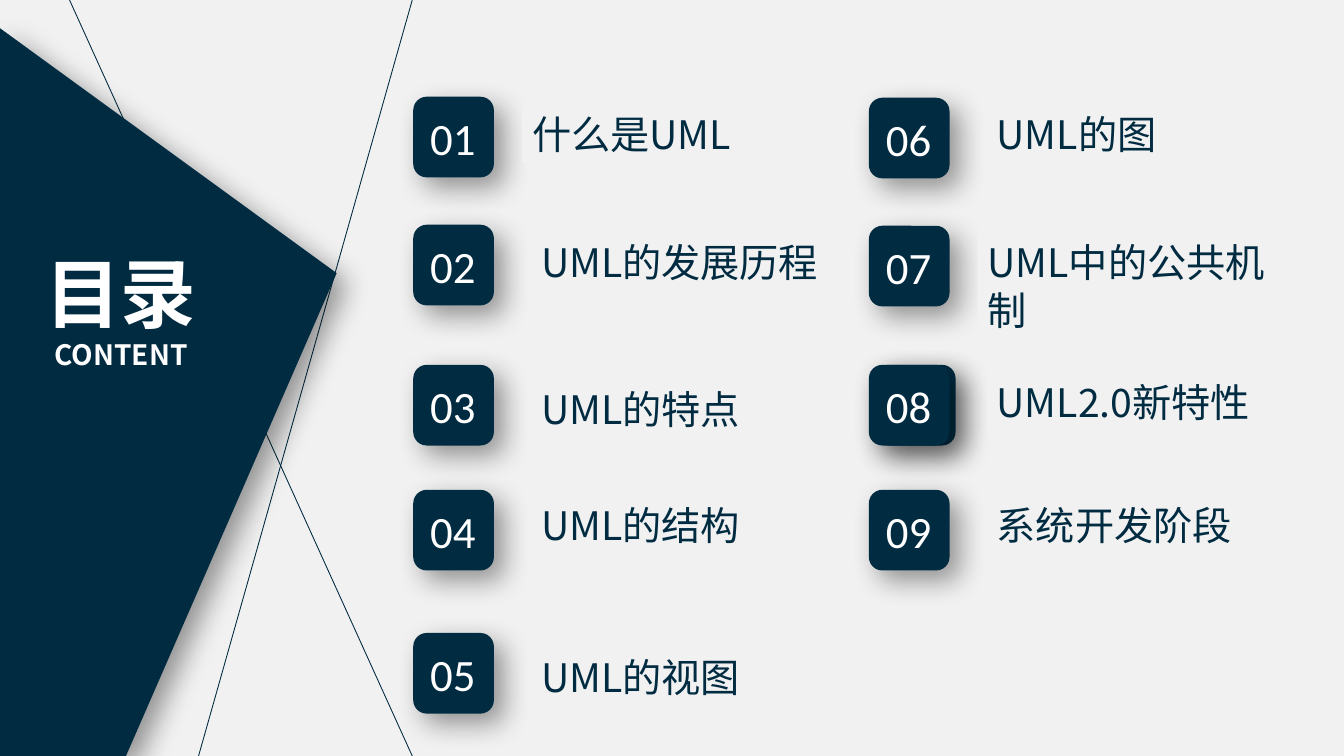
import pptx
import pptx.dml.color
import pptx.enum.shapes
import pptx.enum.text
import pptx.oxml.ns
import pptx.util
from lxml import etree

NAVY, PAPER, WHITE, BLACK = "002B41", "F1F1F1", "FFFFFF", "000000"
CJK, LATIN = "Noto Sans CJK SC", "Calibri"
CELL = pptx.util.Inches(0.1)  # the page is a grid of square cells
COLUMNS, ROWS = 133.33, 75
TILE, LABEL_WIDTH, LABEL_LINE = 8, 31.7, 4.7
SHAPES = pptx.enum.shapes.MSO_SHAPE

# Per entry: label, tile row, label row, label column within the list
LEFT_ENTRIES = [
    ("什么是UML", 9.6, 10.5, 10.8),
    ("UML的发展历程", 22.3, 23.2, 11.7),
    ("UML的特点", 36.2, 37.7, 11.7),
    ("UML的结构", 48.6, 49.2, 11.7),
    ("UML的视图", 62.8, 64.3, 11.7),
]
RIGHT_ENTRIES = [
    ("UML的图", 9.7, 10.5, 11.7),
    ("UML中的公共机制", 22.4, 23.2, 10.8),
    ("UML2.0新特性", 36.2, 37, 11.7),
    ("系统开发阶段", 48.6, 49.2, 11.7),
]


def color(value):
    return pptx.dml.color.RGBColor.from_string(value)


def cells(*counts):
    return [round(count * CELL) for count in counts]


def fill_shape(shape, value):
    shape.fill.solid()
    shape.fill.fore_color.rgb = color(value)
    shape.line.fill.background()
    shape.shadow.inherit = False


def cast_shadow(shape):
    effects = shape._element.spPr.find(pptx.oxml.ns.qn("a:effectLst"))
    shadow = etree.SubElement(
        effects, pptx.oxml.ns.qn("a:outerShdw"), blurRad=str(pptx.util.Pt(20)),
        dist=str(pptx.util.Pt(10)), dir="2700000", algn="tl", rotWithShape="0")
    tint = etree.SubElement(shadow, pptx.oxml.ns.qn("a:srgbClr"), val=BLACK)
    etree.SubElement(tint, pptx.oxml.ns.qn("a:alpha"), val="40000")


def write(shape, lines, font, value, align, bold=False, wrap=True):
    """Fill a shape with (text, size) lines in one font and colour."""
    frame = shape.text_frame
    frame.word_wrap = wrap
    frame.vertical_anchor = pptx.enum.text.MSO_ANCHOR.TOP
    frame.auto_size = pptx.enum.text.MSO_AUTO_SIZE.SHAPE_TO_FIT_TEXT
    frame.text = "\n".join(text for text, size in lines)
    for para, (text, size) in zip(frame.paragraphs, lines):
        para.alignment = align
        para.line_spacing = 1.0
        para.font.name = font
        para.font.size = pptx.util.Pt(size)
        para.font.bold = bold
        para.font.color.rgb = color(value)
        etree.SubElement(para.font._rPr, pptx.oxml.ns.qn("a:ea"), typeface=font)


def add_line(page, start, end):
    line = page.shapes.add_connector(
        pptx.enum.shapes.MSO_CONNECTOR.STRAIGHT, *cells(*start, *end))
    line.line.color.rgb = color(NAVY)
    line.line.width = pptx.util.Pt(0.63)
    etree.SubElement(line._element.spPr, pptx.oxml.ns.qn("a:effectLst"))


def add_title_panel(page, width, height):
    """Draw the crossing lines, the pointed panel and the title on it."""
    add_line(page, (40.9, 0), (19.7, height))
    add_line(page, (40.9, height), (6.9, 0))

    outline = page.shapes.build_freeform(0, round(0.28 * 1000), scale=CELL / 100)
    corners = [(0, 2.8), (width, 27.1), (12.5, height), (0, height)]
    points = [(round(x * 100), round(y * 100)) for x, y in corners]
    outline = page.shapes.build_freeform(*points[0], scale=CELL / 100)
    outline.add_line_segments(points[1:], close=True)
    panel = outline.convert_to_shape()
    fill_shape(panel, NAVY)
    cast_shadow(panel)

    title = page.shapes.title
    title.left, title.top, title.width, title.height = cells(2.4, 24, 19.2, 13.5)
    write(title, [("目录", 54), ("CONTENT", 20)], CJK, WHITE,
          pptx.enum.text.PP_ALIGN.CENTER, bold=True)
    panel._element.addnext(title._element)


def add_tile(page, left, top):
    tile = page.shapes.add_shape(
        SHAPES.ROUNDED_RECTANGLE, *cells(left, top, TILE, TILE))
    fill_shape(tile, NAVY)
    cast_shadow(tile)


def add_entry_list(page, left, first_number, entries):
    """Stack numbered tiles with their labels, starting at a grid column."""
    align = pptx.enum.text.PP_ALIGN.LEFT
    for number, entry in enumerate(entries, first_number):
        text, tile_top, label_top, label_offset = entry
        if number == 8:  # this tile is doubled
            add_tile(page, left + 0.6, tile_top)
        add_tile(page, left, tile_top)
        digits = page.shapes.add_textbox(
            *cells(left + 0.7, tile_top + 0.85, 6.6, 6.4))
        write(digits, [(f"{number:02}", 32)], LATIN, WHITE, align, wrap=False)

        lines = 2 if len(text) > 8 and number == 7 else 1
        label = page.shapes.add_shape(
            SHAPES.RECTANGLE,
            *cells(left + label_offset, label_top, LABEL_WIDTH, 1 + lines * LABEL_LINE))
        fill_shape(label, PAPER)
        write(label, [(text, 28)], CJK, NAVY, align)


def main():
    deck = pptx.Presentation()
    deck.slide_width, deck.slide_height = cells(COLUMNS, ROWS)
    page = deck.slides.add_slide(deck.slide_layouts[5])
    page.background.fill.solid()
    page.background.fill.fore_color.rgb = color(PAPER)
    add_title_panel(page, 33.4, ROWS)
    add_entry_list(page, 41, 1, LEFT_ENTRIES)
    add_entry_list(page, 86.2, 6, RIGHT_ENTRIES)
    deck.save("out.pptx")


if __name__ == "__main__":
    main()
